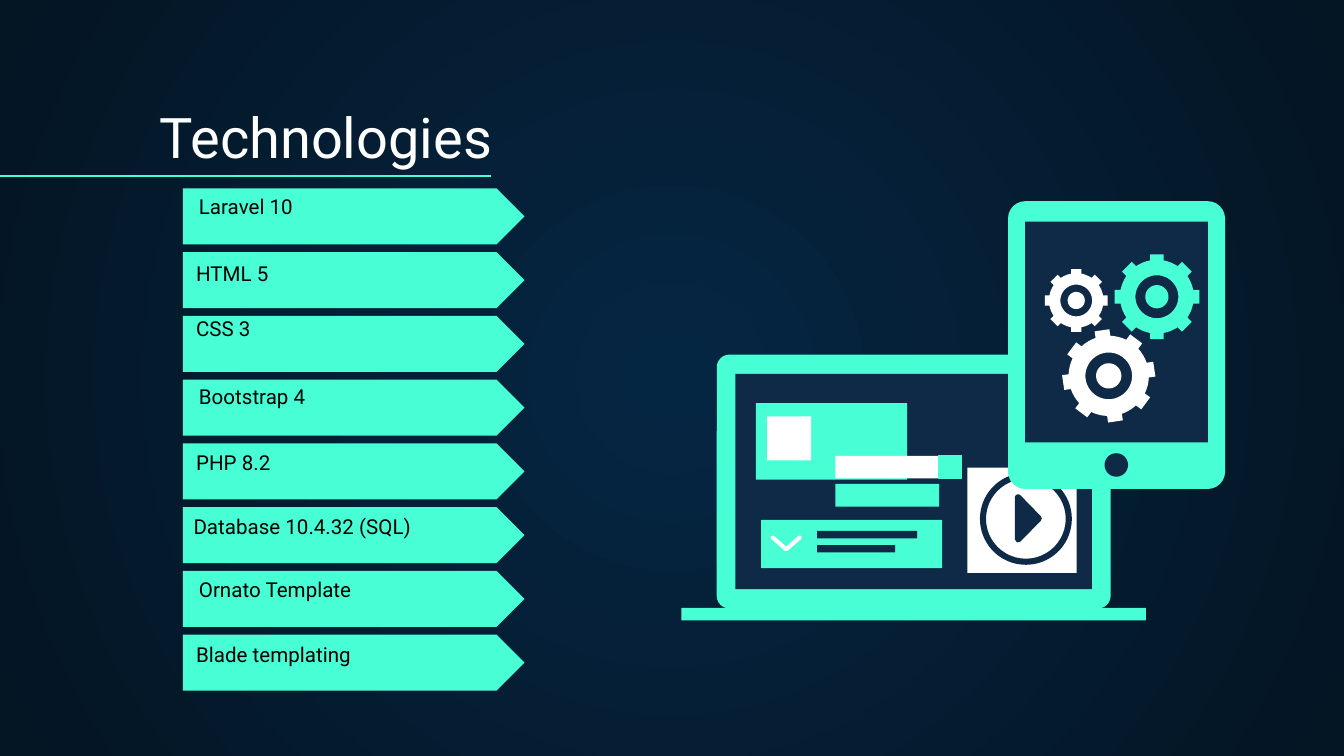
from dataclasses import dataclass
from math import asin, cos, pi, radians, sin

from lxml.etree import SubElement
from pptx import Presentation
from pptx.dml.color import RGBColor
from pptx.enum.shapes import MSO_CONNECTOR, MSO_SHAPE
from pptx.enum.text import MSO_ANCHOR
from pptx.oxml.ns import qn
from pptx.util import Pt


@dataclass(frozen=True)
class Theme:
    mint: str = "48FFD5"
    navy: str = "0E2A47"
    white: str = "FFFFFF"
    black: str = "000000"
    glow: str = "052643"
    edge: str = "041523"
    font: str = "Roboto"
    title_size: float = 30
    label_size: float = 11
    hairline: float = 0.75


THEME = Theme()

# Label, then its shift from the top left corner of its arrow
TECHNOLOGIES = [
    ("Laravel 10", 1.5, 8),
    ("HTML 5", 0, 9.4),
    ("CSS 3", 0, 5),
    ("Bootstrap 4", 1.5, 7.2),
    ("PHP 8.2", 0, 8.6),
    ("Database 10.4.32 (SQL)", -1.4, 8.6),
    ("Ornato Template", 1.5, 8),
    ("Blade templating", 0, 8.6),
]


def paint(shape, fill=None, line=None, width=THEME.hairline):
    shape.shadow.inherit = False
    for part, color in ((shape.fill, fill), (shape.line.fill, line)):
        if color:
            part.solid()
            part.fore_color.rgb = RGBColor.from_string(color)
        else:
            part.background()
    if line:
        shape.line.width = Pt(width)


def add_block(slide, box, fill, kind=MSO_SHAPE.RECTANGLE, adjustment=None, line=None):
    shape = slide.shapes.add_shape(kind, *map(Pt, box))
    if adjustment is not None:
        shape.adjustments[0] = adjustment
    paint(shape, fill, line)
    return shape


def add_outline(slide, contours, close=True):
    """Build one freeform from lists of points, one list for each contour."""
    first = contours[0]
    builder = slide.shapes.build_freeform(Pt(first[0][0]), Pt(first[0][1]))
    for index, points in enumerate(contours):
        if index:
            builder.move_to(Pt(points[0][0]), Pt(points[0][1]))
        builder.add_line_segments([(Pt(x), Pt(y)) for x, y in points[1:]], close=close)
    return builder.convert_to_shape()


def round_line(shape):
    line = shape.line._get_or_add_ln()
    line.set("cap", "rnd")
    SubElement(line, qn("a:round"))


def add_text(slide, box, text, size, color):
    text_box = slide.shapes.add_textbox(*map(Pt, box))
    frame = text_box.text_frame
    frame_format = {"word_wrap": True, "vertical_anchor": MSO_ANCHOR.BOTTOM}
    frame_format.update({f"margin_{side}": Pt(7.2) for side in ("left", "top", "right", "bottom")})
    for name, value in frame_format.items():
        setattr(frame, name, value)
    run = frame.paragraphs[0].add_run()
    run.text = text
    for name, value in {"name": THEME.font, "size": Pt(size)}.items():
        setattr(run.font, name, value)
    run.font.color.rgb = RGBColor.from_string(color)


def add_background(slide):
    """Fill the slide with a gradient that runs outward from the centre."""
    fill = slide.background.fill
    fill.gradient()
    for stop, color in zip(fill.gradient_stops, (THEME.glow, THEME.edge)):
        stop.color.rgb = RGBColor.from_string(color)
    gradient = slide._element.find(".//" + qn("a:gradFill"))
    linear = gradient.find(qn("a:lin"))
    circle = gradient.makeelement(qn("a:path"), {"path": "circle"})
    SubElement(circle, qn("a:fillToRect"), {side: "50000" for side in "ltrb"})
    gradient.replace(linear, circle)


def add_heading(slide, left, top, width, height):
    add_text(slide, (left, top, width, height), "Technologies", THEME.title_size, THEME.white)
    level = Pt(top + 43.9)
    rule = slide.shapes.add_connector(MSO_CONNECTOR.STRAIGHT, 0, level, Pt(263), level)
    rule.line.color.rgb = RGBColor.from_string(THEME.mint)
    rule.line.width = Pt(THEME.hairline)
    SubElement(rule._element.spPr, qn("a:effectLst"))


def add_technology_list(slide, left, top, width, height):
    arrow_height = 30
    pitch = (height - arrow_height) / (len(TECHNOLOGIES) - 1)
    for index, (label, shift_x, shift_y) in enumerate(TECHNOLOGIES):
        arrow_top = top + index * pitch
        add_block(slide, (left, arrow_top, width, arrow_height), THEME.mint, MSO_SHAPE.PENTAGON, 0.5)
        label_box = (left + shift_x, arrow_top + shift_y, width - 20, 15)
        add_text(slide, label_box, label, THEME.label_size, THEME.black)


def add_laptop(slide, left, top, width, height):
    def place(x, y, w, h):
        return left + x, top + y, w, h

    def shift(points):
        return [(left + x, top + y) for x, y in points]

    add_block(slide, place(19, 0, 211, 136), THEME.mint, MSO_SHAPE.ROUNDED_RECTANGLE, 0.05)
    for box, color in (
        ((29, 10.3, 191, 115.3), THEME.navy),
        ((0, height - 6.7, width, 6.7), THEME.mint),
        ((40, 26, 81, 41), THEME.mint),
        ((46, 33, 23.6, 23.6), THEME.white),
        ((42.8, 88.6, 97, 25.8), THEME.mint),
        ((72.8, 94.4, 53.5, 4), THEME.navy),
        ((72.8, 102, 41.8, 4), THEME.navy),
        ((82.6, 69.3, 55.5, 12.2), THEME.mint),
        ((82.6, 54.2, 55.5, 12.2), THEME.white),
        ((153.2, 60.6, 58.6, 56.4), THEME.white),
    ):
        add_block(slide, place(*box), color)
    add_block(slide, place(138, 54.2, 12.2, 12.2), THEME.mint, line=THEME.mint)

    check = add_outline(slide, [shift([(49, 98), (56.2, 104.3), (63.4, 98)])], close=False)
    paint(check, line=THEME.white, width=2.2)
    round_line(check)

    add_block(slide, place(160, 63.4, 49.2, 49.2), THEME.navy, MSO_SHAPE.DONUT, 0.066)
    play = add_outline(slide, [shift([(180.4, 76.5), (180.4, 99), (191.4, 87.8)])])
    paint(play, THEME.navy, THEME.navy, 3.4)
    round_line(play)


def add_gear(slide, center_x, center_y, radius, color, turn=0):
    """Draw an eight-toothed wheel with a ring-shaped hole."""
    teeth, body, tooth_half = 8, 0.86, 0.16

    def at(share, angle):
        return center_x + radius * share * sin(angle), center_y - radius * share * cos(angle)

    def circle(share):
        return [at(share, 2 * pi * step / 48) for step in range(48)]

    step_angle = 2 * pi / teeth
    root, tip = asin(tooth_half / body), asin(tooth_half)
    rim = []
    for tooth in range(teeth):
        angle = radians(turn) + tooth * step_angle
        rim += [at(body, angle - root), at(1, angle - tip), at(1, angle + tip)]
        rim += [at(body, angle + root + (step_angle - 2 * root) * part / 4) for part in range(4)]
    paint(add_outline(slide, [rim, circle(0.5), circle(0.27)]), color)


def add_tablet(slide, left, top, width, height):
    add_block(slide, (left, top, width, height), THEME.mint, MSO_SHAPE.ROUNDED_RECTANGLE, 0.08)
    add_block(slide, (left + 9.2, top + 11, width - 18.4, 118.2), THEME.navy)
    add_block(slide, (left + 51.7, top + 135, 12.6, 12.6), THEME.navy, MSO_SHAPE.OVAL)
    for x, y, radius, color, turn in (
        (79.8, 51.2, 23, THEME.mint, 0),
        (36.6, 53.2, 17, THEME.white, 0),
        (54, 93.6, 25, THEME.white, -8.4),
    ):
        add_gear(slide, left + x, top + y, radius, color, turn)


def main():
    presentation = Presentation()
    presentation.slide_width, presentation.slide_height = Pt(720), Pt(405)
    slide = presentation.slides.add_slide(presentation.slide_layouts[6])
    add_background(slide)
    add_heading(slide, 78.5, 50.4, 617, 47.5)
    add_technology_list(slide, 98, 101, 183, 269)
    add_laptop(slide, 365, 190, 249, 142.4)
    add_tablet(slide, 540, 107.8, 116.3, 154.2)
    presentation.save("out.pptx")


if __name__ == "__main__":
    main()
